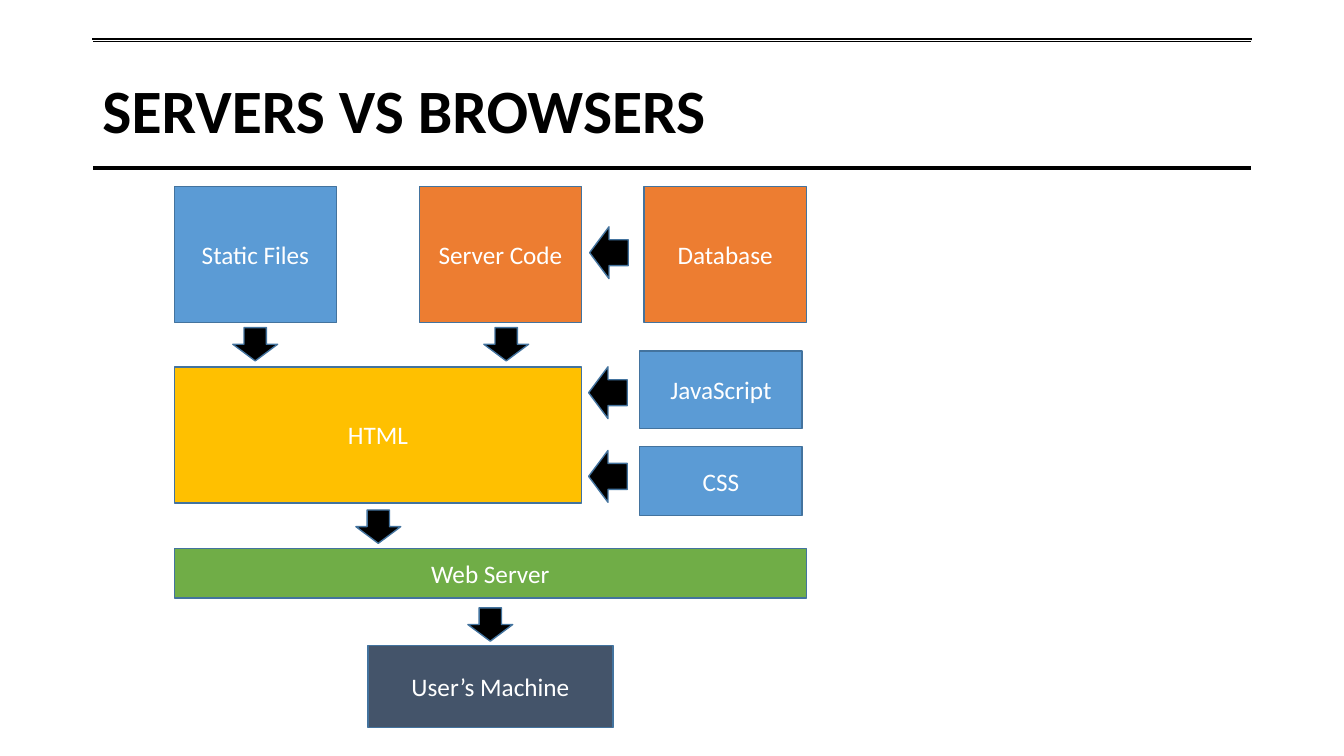
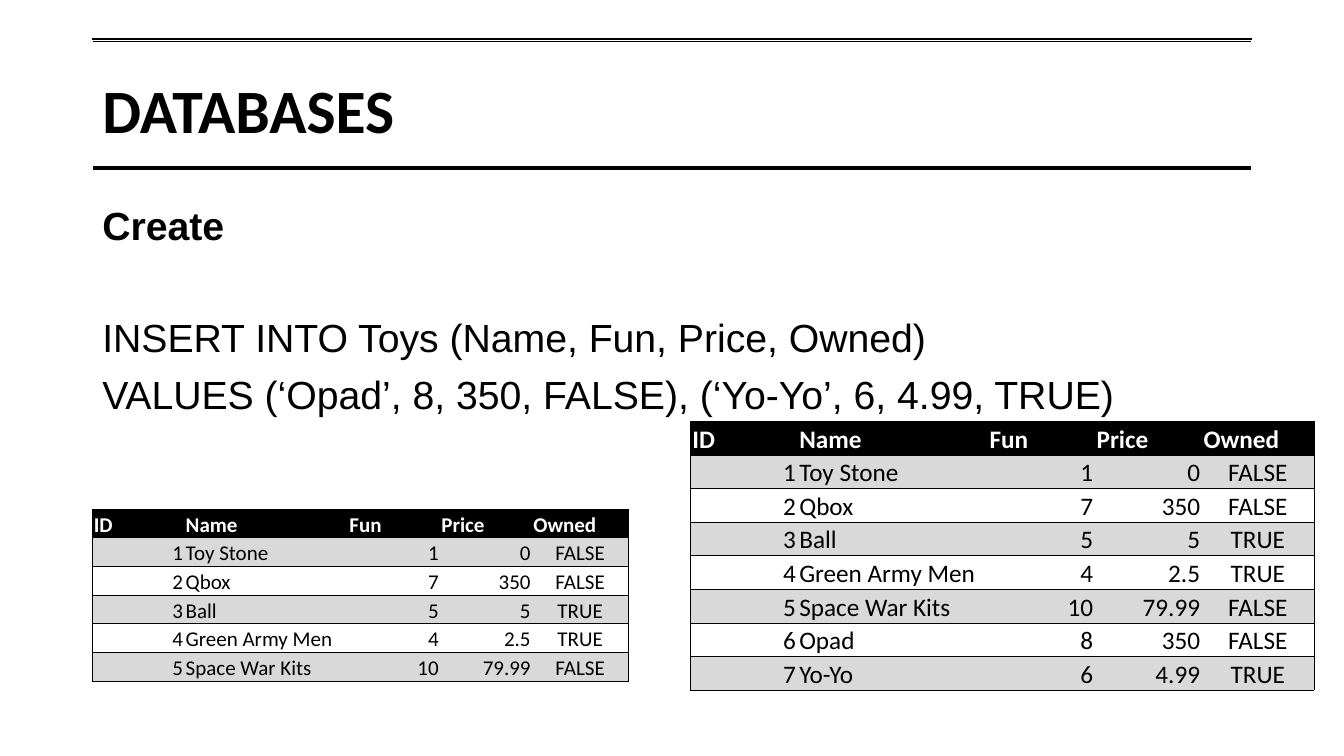
"""Build two slides: a server and browser diagram, and a database insert example."""
from dataclasses import dataclass

from lxml.etree import SubElement
from pptx import Presentation
from pptx.dml.color import RGBColor
from pptx.enum.shapes import MSO_CONNECTOR, MSO_SHAPE
from pptx.enum.text import MSO_ANCHOR, MSO_AUTO_SIZE, PP_ALIGN
from pptx.oxml.ns import qn
from pptx.util import Pt


@dataclass(frozen=True)
class Theme:
    black: str = "000000"
    white: str = "FFFFFF"
    blue: str = "5B9BD5"
    orange: str = "ED7D31"
    gold: str = "FFC000"
    green: str = "70AD47"
    slate: str = "44546A"
    outline: str = "43739E"
    band: str = "D9D9D9"
    heading_font: str = "Calibri"
    body_font: str = "Arial"
    title_size: float = 44
    body_size: float = 28
    label_size: float = 18
    small_size: float = 15


theme = Theme()


def set_font(paragraph, name, size, color, bold=False):
    paragraph.font.name = name
    paragraph.font.size = Pt(size)
    paragraph.font.color.rgb = RGBColor.from_string(color)
    paragraph.font.bold = bold


def add_block(slide, kind, left, top, width, height, color):
    shape = slide.shapes.add_shape(kind, Pt(left), Pt(top), Pt(width), Pt(height))
    shape.shadow.inherit = False
    shape.fill.solid()
    shape.fill.fore_color.rgb = RGBColor.from_string(color)
    shape.line.color.rgb = RGBColor.from_string(theme.outline)
    shape.line.width = Pt(1)
    return shape


presentation = Presentation()
presentation.slide_width = Pt(960)
presentation.slide_height = Pt(540)
layout = presentation.slide_layouts.get_by_name("Title Only")
margin, content_width = 66, 828

slides = []
for heading in ("SERVERS VS BROWSERS", "DATABASES"):
    slide = presentation.slides.add_slide(layout)
    title = slide.shapes.title
    title.left, title.top = Pt(margin), Pt(28.8)
    title.width, title.height = Pt(content_width), Pt(104.4)
    title.line.color.rgb = RGBColor.from_string(theme.white)
    title.line.width = Pt(0.75)
    title.text_frame.text = heading
    title.text_frame.auto_size = MSO_AUTO_SIZE.NONE
    title.text_frame.vertical_anchor = MSO_ANCHOR.MIDDLE
    paragraph = title.text_frame.paragraphs[0]
    paragraph.alignment = PP_ALIGN.LEFT
    paragraph.line_spacing = 0.9
    set_font(paragraph, theme.heading_font, theme.title_size, theme.black, True)
    slides.append(slide)
diagram_slide, database_slide = slides

for rule_top in (28.8, 120.2):
    rule = diagram_slide.shapes.add_connector(
        MSO_CONNECTOR.STRAIGHT, Pt(margin), Pt(rule_top), Pt(margin + content_width), Pt(rule_top))
    rule.line.color.rgb = RGBColor.from_string(theme.black)
    rule.line.width = Pt(3)
    SubElement(rule.element.spPr, qn("a:effectLst"))
    layout.shapes.element.append(rule.element)

boxes = [
    ("Server Code", 299.5, 133.2, 116, 97.2, theme.orange),
    ("Static Files", 124.5, 133.2, 116, 97.2, theme.blue),
    ("HTML", 124.5, 262, 291, 97.2, theme.gold),
    ("JavaScript", 457, 250.6, 116, 55.4, theme.blue),
    ("CSS", 457, 319, 116, 49.4, theme.blue),
    ("Database", 460, 133.2, 116, 97.2, theme.orange),
    ("Web Server", 124.5, 391.7, 451.5, 35.5, theme.green),
    ("User’s Machine", 262.8, 461.2, 175, 58.3, theme.slate),
]
for label, left, top, width, height, color in boxes:
    box = add_block(diagram_slide, MSO_SHAPE.RECTANGLE, left, top, width, height, color)
    box.text_frame.text = label
    box.text_frame.vertical_anchor = MSO_ANCHOR.MIDDLE
    paragraph = box.text_frame.paragraphs[0]
    paragraph.alignment = PP_ALIGN.CENTER
    set_font(paragraph, theme.heading_font, theme.label_size, theme.white)

arrow_groups = [
    (MSO_SHAPE.DOWN_ARROW, 32, 23.8, [(166.3, 234), (345.6, 234), (254.2, 364.3), (334.2, 434.2)]),
    (MSO_SHAPE.LEFT_ARROW, 27.6, 37, [(420.5, 262), (420.5, 321.8), (421.2, 162)]),
]
for kind, width, height, positions in arrow_groups:
    for left, top in positions:
        add_block(diagram_slide, kind, left, top, width, height, theme.black)

statement = database_slide.shapes.add_textbox(Pt(margin), Pt(144), Pt(content_width), Pt(342.7))
statement.text_frame.word_wrap = True
lines = [
    ("Create", 10, True),
    ("INSERT INTO Toys (Name, Fun, Price, Owned)", 50, False),
    ("VALUES (‘Opad’, 8, 350, FALSE), (‘Yo-Yo’, 6, 4.99, TRUE)", 10, False),
]
statement.text_frame.text = "\n".join(text for text, _, _ in lines)
for paragraph, (_, space_before, bold) in zip(statement.text_frame.paragraphs, lines):
    paragraph.line_spacing = 0.9
    paragraph.space_before = Pt(space_before)
    set_font(paragraph, theme.body_font, theme.body_size, theme.black, bold)

toys = [
    ("ID", "Name", "Fun", "Price", "Owned"),
    ("1", "Toy Stone", "1", "0", "FALSE"),
    ("2", "Qbox", "7", "350", "FALSE"),
    ("3", "Ball", "5", "5", "TRUE"),
    ("4", "Green Army Men", "4", "2.5", "TRUE"),
    ("5", "Space War Kits", "10", "79.99", "FALSE"),
    ("6", "Opad", "8", "350", "FALSE"),
    ("7", "Yo-Yo", "6", "4.99", "TRUE"),
]
column_widths = (76.4, 136, 76.4, 76.4, 80)
column_alignments = (PP_ALIGN.RIGHT, PP_ALIGN.LEFT, PP_ALIGN.RIGHT, PP_ALIGN.RIGHT, PP_ALIGN.CENTER)
last_column = len(column_widths) - 1
tables = [
    (toys, 493.3, 301, 1, 24, theme.label_size, 1.25),
    (toys[:6], margin, 363.6, 0.86, 20.5, theme.small_size, 1),
]
for rows, left, top, scale, row_height, size, inset in tables:
    frame = database_slide.shapes.add_table(
        len(rows), len(column_widths), Pt(left), Pt(top),
        Pt(sum(column_widths) * scale), Pt(row_height * len(rows)))
    table = frame.table
    table.horz_banding = False
    for column, width in zip(table.columns, column_widths):
        column.width = Pt(width * scale)
    for row_index, values in enumerate(rows):
        is_header = row_index == 0
        table.rows[row_index].height = Pt(row_height)
        for column_index, value in enumerate(values):
            cell = table.cell(row_index, column_index)
            cell.margin_left = cell.margin_right = cell.margin_top = Pt(inset)
            cell.margin_bottom = 0
            cell.vertical_anchor = MSO_ANCHOR.BOTTOM
            visible_edges = {"lnL": column_index == 0, "lnR": column_index == last_column,
                             "lnT": True, "lnB": True}
            properties = cell._tc.get_or_add_tcPr()
            for edge, visible in visible_edges.items():
                border = SubElement(properties, qn(f"a:{edge}"), w=str(Pt(0.5)))
                if visible:
                    border_fill = SubElement(border, qn("a:solidFill"))
                    SubElement(border_fill, qn("a:srgbClr"), val=theme.black)
                else:
                    SubElement(border, qn("a:noFill"))
            if row_index % 2 or is_header:
                cell.fill.solid()
                cell.fill.fore_color.rgb = RGBColor.from_string(theme.black if is_header else theme.band)
            else:
                cell.fill.background()
            cell.text = value
            paragraph = cell.text_frame.paragraphs[0]
            paragraph.alignment = PP_ALIGN.LEFT if is_header else column_alignments[column_index]
            set_font(paragraph, theme.heading_font, size,
                     theme.white if is_header else theme.black, is_header)

presentation.save("out.pptx")
